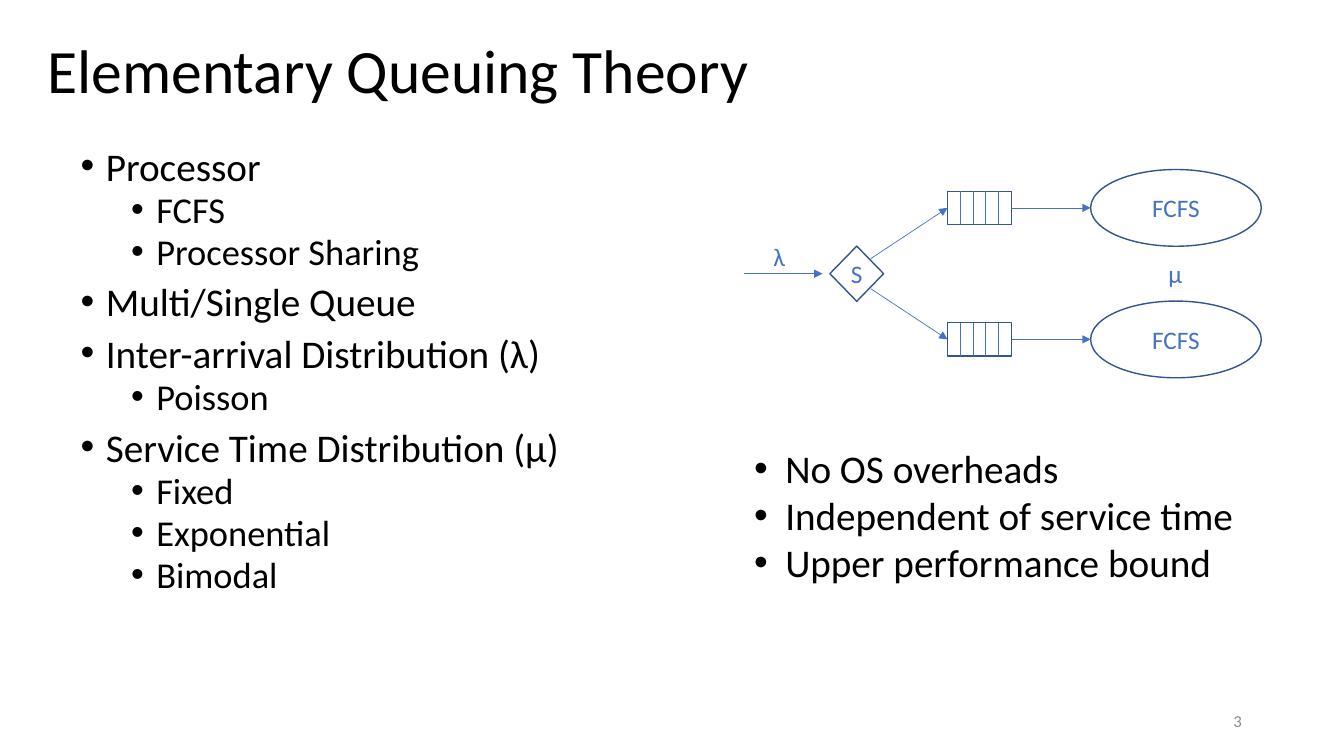
from dataclasses import dataclass

from lxml import etree
from pptx import Presentation
from pptx.dml.color import RGBColor
from pptx.enum.shapes import MSO_CONNECTOR, MSO_SHAPE
from pptx.enum.text import MSO_ANCHOR, MSO_AUTO_SIZE, PP_ALIGN
from pptx.oxml.ns import qn
from pptx.util import Inches, Pt

LEFT, CENTER, RIGHT = PP_ALIGN.LEFT, PP_ALIGN.CENTER, PP_ALIGN.RIGHT
TOP, MIDDLE = MSO_ANCHOR.TOP, MSO_ANCHOR.MIDDLE
ELLIPSE, RECTANGLE, DIAMOND = MSO_SHAPE.OVAL, MSO_SHAPE.RECTANGLE, MSO_SHAPE.DIAMOND
STRAIGHT = MSO_CONNECTOR.STRAIGHT
NO_FIT = MSO_AUTO_SIZE.NONE

FONT = "Calibri"
COLORS = {"text": "000000", "accent": "4472C4", "outline": "325491", "number": "8C8C8C"}

deck = Presentation()
deck.slide_width, deck.slide_height = Inches(13.33), Inches(7.5)
TWO_CONTENT = deck.slide_layouts[3]
slide = deck.slides.add_slide(TWO_CONTENT)


def across(percent: float) -> int:
    return round(deck.slide_width * percent / 100)


def down(percent: float) -> int:
    return round(deck.slide_height * percent / 100)


@dataclass
class Box:
    """Percentages of the slide's width and height."""
    left: float
    top: float
    width: float
    height: float

    def emu(self) -> tuple[int, int, int, int]:
        return across(self.left), down(self.top), across(self.width), down(self.height)


@dataclass
class ListLevel:
    size: float
    indent: float
    hang: float
    before: float
    spacing: float


@dataclass
class Item:
    text: str
    level: int = 0


# Text helpers
def add_run(paragraph, text: str, size: float, color: str) -> None:
    run = paragraph.add_run()
    run.text = text
    run.font.name, run.font.size = FONT, Pt(size)
    run.font.color.rgb = RGBColor.from_string(COLORS[color])


def write_line(shape, text: str, size: float, color: str, align, anchor,
               wrap: bool = True) -> None:
    frame = shape.text_frame
    frame.word_wrap, frame.auto_size, frame.vertical_anchor = wrap, NO_FIT, anchor
    paragraph = frame.paragraphs[0]
    paragraph.alignment = align
    add_run(paragraph, text, size, color)


def place(shape, box: Box) -> None:
    shape.left, shape.top, shape.width, shape.height = box.emu()


def fill_list(placeholder, box: Box, items: list[Item], levels: list[ListLevel]) -> None:
    place(placeholder, box)
    frame = placeholder.text_frame
    frame.word_wrap, frame.auto_size, frame.vertical_anchor = True, NO_FIT, TOP
    for index, item in enumerate(items):
        paragraph = frame.add_paragraph() if index else frame.paragraphs[0]
        style = levels[item.level]
        paragraph.level, paragraph.alignment = item.level, LEFT
        paragraph.line_spacing = style.spacing
        paragraph.space_before, paragraph.space_after = Pt(style.before), Pt(0)
        properties = paragraph._p.get_or_add_pPr()
        properties.set("marL", str(Inches(style.indent)))
        properties.set("indent", str(-Inches(style.hang)))
        etree.SubElement(properties, qn("a:buFont"), typeface="Arial")
        etree.SubElement(properties, qn("a:buChar"), char="•")
        add_run(paragraph, item.text, style.size, "text")


def add_label(box: Box, text: str, size: float, color: str, align, anchor,
              wrap: bool = True) -> None:
    write_line(slide.shapes.add_textbox(*box.emu()), text, size, color, align, anchor, wrap)


# Diagram helpers
def add_outline(kind, box: Box, text: str = "") -> None:
    shape = slide.shapes.add_shape(kind, *box.emu())
    shape.shadow.inherit = False
    shape.fill.background()
    shape.line.color.rgb = RGBColor.from_string(COLORS["outline"])
    shape.line.width = Pt(1)
    if text:
        frame = shape.text_frame
        frame.margin_left = frame.margin_right = frame.margin_top = frame.margin_bottom = 0
        write_line(shape, text, 18, "accent", CENTER, MIDDLE, wrap=False)


def add_line(x1: float, y1: float, x2: float, y2: float, arrow: bool = False) -> None:
    line = slide.shapes.add_connector(STRAIGHT, across(x1), down(y1), across(x2), down(y2))
    line.line.color.rgb = RGBColor.from_string(COLORS["accent"])
    line.line.width = Pt(0.5)
    if arrow:
        etree.SubElement(line.line._get_or_add_ln(), qn("a:tailEnd"), type="triangle")
    etree.SubElement(line._element.spPr, qn("a:effectLst"))


# Title and lists
title, theory, bounds = slide.placeholders
place(title, Box(2.78, 0, 86.25, 19.33))
write_line(title, "Elementary Queuing Theory", 44, "text", LEFT, MIDDLE)
title.text_frame.paragraphs[0].line_spacing = 0.9

fill_list(theory, Box(5.25, 19.33, 42.5, 63.5), [
    Item("Processor"),
    Item("FCFS", 1),
    Item("Processor Sharing", 1),
    Item("Multi/Single Queue"),
    Item("Inter-arrival Distribution (λ)"),
    Item("Poisson", 1),
    Item("Service Time Distribution (μ)"),
    Item("Fixed", 1),
    Item("Exponential", 1),
    Item("Bimodal", 1),
], [ListLevel(28, 0.25, 0.25, 10, 0.8), ListLevel(26, 0.75, 0.25, 5, 0.8)])

fill_list(bounds, Box(55.35, 58.13, 39, 20.13), [
    Item("No OS overheads"),
    Item("Independent of service time"),
    Item("Upper performance bound"),
], [ListLevel(28, 0.31, 0.31, 0, 1)])

# Queues and servers, mirrored about the splitter's row
AXIS, BRANCH_GAP = 36.2, 8.7
QUEUE_LEFT, QUEUE_WIDTH, QUEUE_HEIGHT, SLOTS = 70.5, 4.75, 4.4, 5
SERVER_LEFT, SERVER_WIDTH, SERVER_HEIGHT = 81.15, 12.7, 10.15
for side in (-1, 1):
    row = AXIS + side * BRANCH_GAP
    queue_top = row - QUEUE_HEIGHT / 2
    add_outline(ELLIPSE, Box(SERVER_LEFT, row - SERVER_HEIGHT / 2,
                             SERVER_WIDTH, SERVER_HEIGHT), "FCFS")
    add_outline(RECTANGLE, Box(QUEUE_LEFT, queue_top, QUEUE_WIDTH, QUEUE_HEIGHT))
    for slot in range(1, SLOTS):
        divider = QUEUE_LEFT + QUEUE_WIDTH * slot / SLOTS
        add_line(divider, queue_top, divider, queue_top + QUEUE_HEIGHT)
    add_line(QUEUE_LEFT + QUEUE_WIDTH, row, SERVER_LEFT, row, arrow=True)
    add_line(64.8, AXIS + side * 2, QUEUE_LEFT, row, arrow=True)

# Arrivals and splitter
add_outline(DIAMOND, Box(61.75, AXIS - 3.65, 4, 7.3), "S")
add_line(55.35, AXIS, 61.2, AXIS, arrow=True)
add_label(Box(56.8, 31.2, 2.4, 5.33), "λ", 18, "accent", LEFT, TOP, wrap=False)
add_label(Box(86.2, 33.45, 2.55, 5.33), "μ", 18, "accent", LEFT, TOP, wrap=False)

# Slide number
add_label(Box(70.65, 92.67, 22.5, 5.33), "3", 12, "number", RIGHT, MIDDLE)

deck.save("out.pptx")
